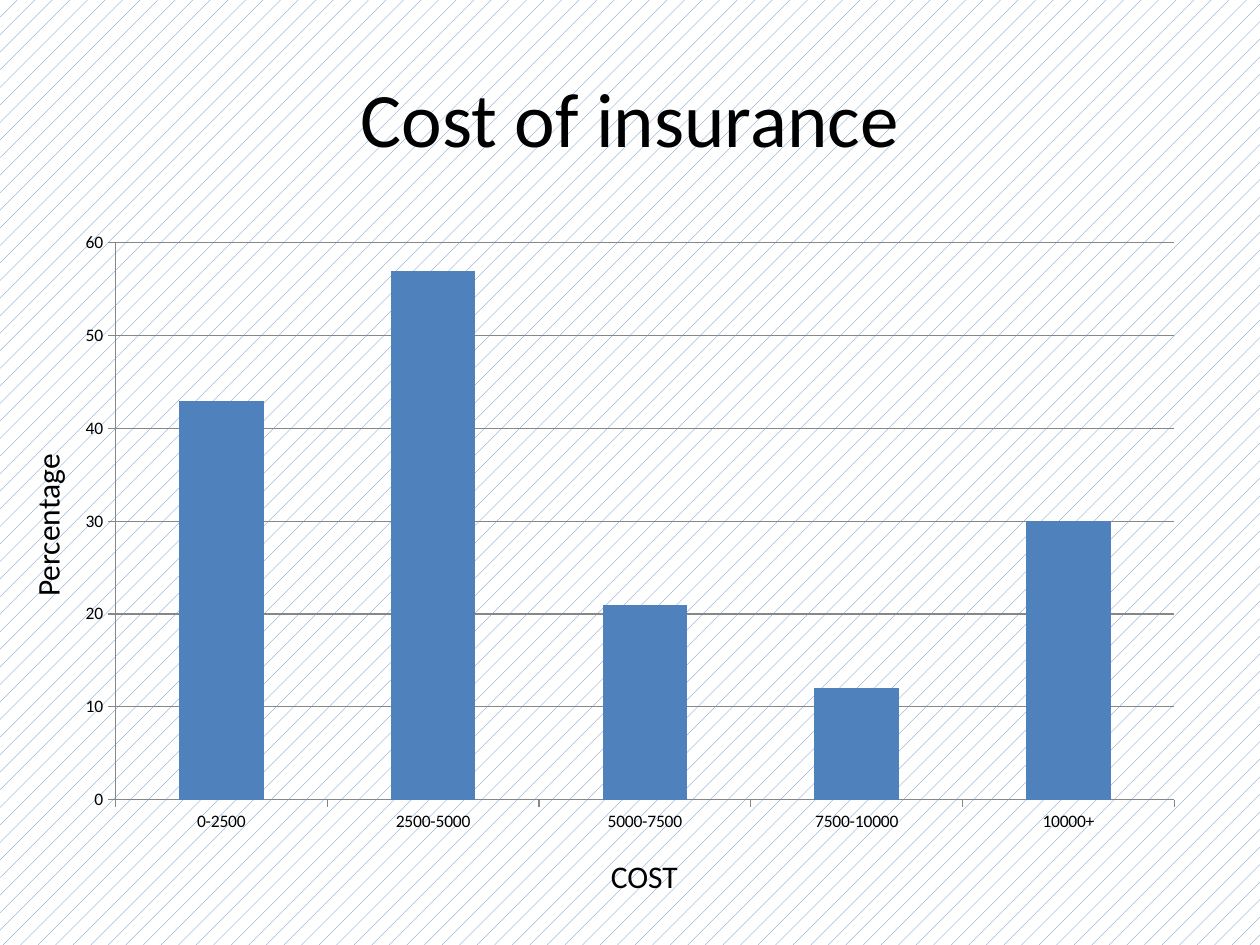
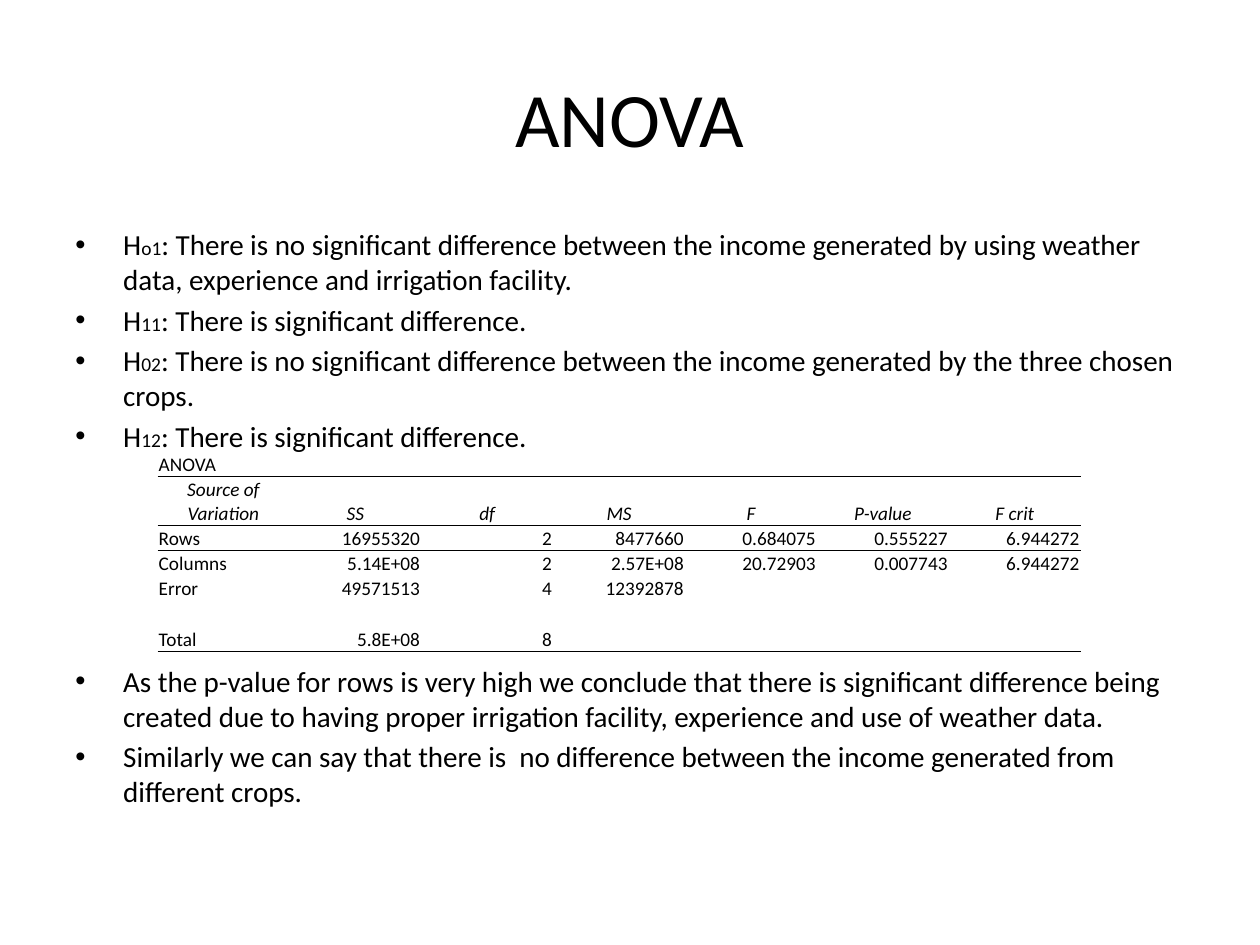
from lxml.etree import SubElement
from pptx import Presentation
from pptx.chart.data import CategoryChartData
from pptx.dml.color import RGBColor
from pptx.enum.chart import XL_CHART_TYPE, XL_TICK_MARK
from pptx.enum.dml import MSO_PATTERN
from pptx.enum.text import MSO_ANCHOR, PP_ALIGN
from pptx.oxml.ns import qn
from pptx.util import Emu, Pt

PX = 9144
FONT = "Calibri"
BLACK, WHITE, BLUE, GRAY = "000000", "FFFFFF", "4F81BD", "878787"
TITLE_BOX = (50, 30, 900, 125)
CONTENT_BOX = (50, 175, 900, 495)
NO_GRID_STYLE = "{2D5ABB26-0587-4C30-8999-92F81FD0307C}"

COSTS = {"0-2500": 43, "2500-5000": 57, "5000-7500": 21, "7500-10000": 12, "10000+": 30}

HYPOTHESES = [
    ("o1", "There is no significant difference between the income generated by using weather data, experience and irrigation facility."),
    ("11", "There is significant difference."),
    ("02", "There is no significant difference between the income generated by the three chosen crops."),
    ("12", "There is significant difference."),
]
CONCLUSIONS = [
    "As the p-value for rows is very high we conclude that there is significant difference being created due to having proper irrigation facility, experience and use of weather data.",
    "Similarly we can say that there is  no difference between the income generated from different crops.",
]
ANOVA_ROWS = [
    ["ANOVA"],
    ["Source of Variation", "SS", "df", "MS", "F", "P-value", "F crit"],
    ["Rows", "16955320", "2", "8477660", "0.684075", "0.555227", "6.944272"],
    ["Columns", "5.14E+08", "2", "2.57E+08", "20.72903", "0.007743", "6.944272"],
    ["Error", "49571513", "4", "12392878"],
    [],
    ["Total", "5.8E+08", "8"],
]
HEADER_ROW = 1
RULES_BELOW = {0: 1, HEADER_ROW: 0.5, 6: 1}


def px(length):
    return Emu(length * PX)


def color(value):
    return RGBColor.from_string(value)


def set_font(font, size, italic=None):
    font.name = FONT
    font.size = Pt(size)
    font.italic = italic
    font.color.rgb = color(BLACK)


def add_titled_slide(deck, title):
    slide = deck.slides.add_slide(deck.slide_layouts[5])
    heading = slide.shapes.title
    heading.left, heading.top, heading.width, heading.height = map(px, TITLE_BOX)
    frame = heading.text_frame
    frame.text = title
    frame.vertical_anchor = MSO_ANCHOR.MIDDLE
    frame.paragraphs[0].alignment = PP_ALIGN.CENTER
    set_font(frame.paragraphs[0].runs[0].font, 44)
    return slide


def add_axis_label(slide, text, box, rotation=0):
    label = slide.shapes.add_textbox(*map(px, box))
    label.rotation = rotation
    label.text_frame.word_wrap = True
    label.text_frame.text = text
    set_font(label.text_frame.paragraphs[0].runs[0].font, 18)


def add_cost_chart(slide, box):
    data = CategoryChartData()
    data.categories = list(COSTS)
    data.add_series("Series 1", list(COSTS.values()))
    chart = slide.shapes.add_chart(XL_CHART_TYPE.COLUMN_CLUSTERED, *map(px, box), data).chart
    set_font(chart.font, 10)
    chart.has_legend = False
    chart.has_title = False
    for axis in (chart.category_axis, chart.value_axis):
        axis.major_tick_mark = XL_TICK_MARK.OUTSIDE
        axis.format.line.color.rgb = color(GRAY)
    chart.value_axis.maximum_scale = 60
    chart.value_axis.minimum_scale = 0
    chart.value_axis.major_unit = 10
    chart.value_axis.has_major_gridlines = True
    chart.value_axis.major_gridlines.format.line.color.rgb = color(GRAY)
    bars = chart.plots[0]
    bars.gap_width = 150
    bars.vary_by_categories = False
    fill = bars.series[0].format.fill
    fill.solid()
    fill.fore_color.rgb = color(BLUE)


def add_bullets(slide, box):
    frame = slide.shapes.add_textbox(*map(px, box)).text_frame
    frame.word_wrap = True
    points = [[("H", 16.6), (index, 11.1), (f": {claim}", 16.6)] for index, claim in HYPOTHESES]
    points += [[(conclusion, 16.6)] for conclusion in CONCLUSIONS]
    for number, parts in enumerate(points):
        point = frame.add_paragraph() if number else frame.paragraphs[0]
        props = point._p.get_or_add_pPr()
        props.set("marL", str(px(38)))
        props.set("indent", str(px(-38)))
        SubElement(props, qn("a:buFont"), typeface="Arial")
        SubElement(props, qn("a:buChar"), char="•")
        if number:
            point.space_before = Pt(120 if number == len(HYPOTHESES) else 3.3)
        for text, size in parts:
            run = point.add_run()
            run.text = text
            set_font(run.font, size)


def add_rule(cell, side, width):
    line = SubElement(cell._tc.get_or_add_tcPr(), qn(f"a:{side}"), w=str(Pt(width)))
    SubElement(SubElement(line, qn("a:solidFill")), qn("a:srgbClr"), val=BLACK)


def format_cell(cell, text, row, column):
    cell.margin_left = cell.margin_right = cell.margin_top = px(1)
    cell.margin_bottom = 0
    cell.vertical_anchor = MSO_ANCHOR.BOTTOM
    for side, rule_row in (("lnT", row - 1), ("lnB", row)):
        if rule_row in RULES_BELOW:
            add_rule(cell, side, RULES_BELOW[rule_row])
    cell.fill.background()
    cell.text_frame.text = text
    entry = cell.text_frame.paragraphs[0]
    if row == HEADER_ROW:
        entry.alignment = PP_ALIGN.CENTER
    elif column:
        entry.alignment = PP_ALIGN.RIGHT
    for run in entry.runs:
        set_font(run.font, 11, row == HEADER_ROW)
    entry._p.get_or_add_endParaRPr().set("sz", "1100")


def add_anova_table(slide, box):
    columns = len(ANOVA_ROWS[HEADER_ROW])
    table = slide.shapes.add_table(len(ANOVA_ROWS), columns, *map(px, box)).table
    table.first_row = table.horz_banding = False
    table._tbl.tblPr.find(qn("a:tableStyleId")).text = NO_GRID_STYLE
    for column in table.columns:
        column.width = px(box[2]) // columns
    for row, values in enumerate(ANOVA_ROWS):
        table.rows[row].height = px(39 if row == HEADER_ROW else 20)
        for column in range(columns):
            text = values[column] if column < len(values) else ""
            format_cell(table.cell(row, column), text, row, column)


def build_cost_slide(deck):
    slide = add_titled_slide(deck, "Cost of insurance")
    fill = slide.background.fill
    fill.patterned()
    fill.pattern = MSO_PATTERN.PERCENT_5
    fill.fore_color.rgb = color(BLUE)
    fill.back_color.rgb = color(WHITE)
    add_axis_label(slide, "Percentage", (-46, 380, 167, 40), 270)
    add_axis_label(slide, "COST", (475, 675, 308, 40))
    add_cost_chart(slide, CONTENT_BOX)


def build_anova_slide(deck):
    slide = add_titled_slide(deck, "ANOVA")
    add_bullets(slide, CONTENT_BOX)
    add_anova_table(slide, (125, 358, 733, 159))


def main():
    deck = Presentation()
    deck.slide_width, deck.slide_height = px(1000), px(750)
    build_cost_slide(deck)
    build_anova_slide(deck)
    deck.save("out.pptx")


if __name__ == "__main__":
    main()
